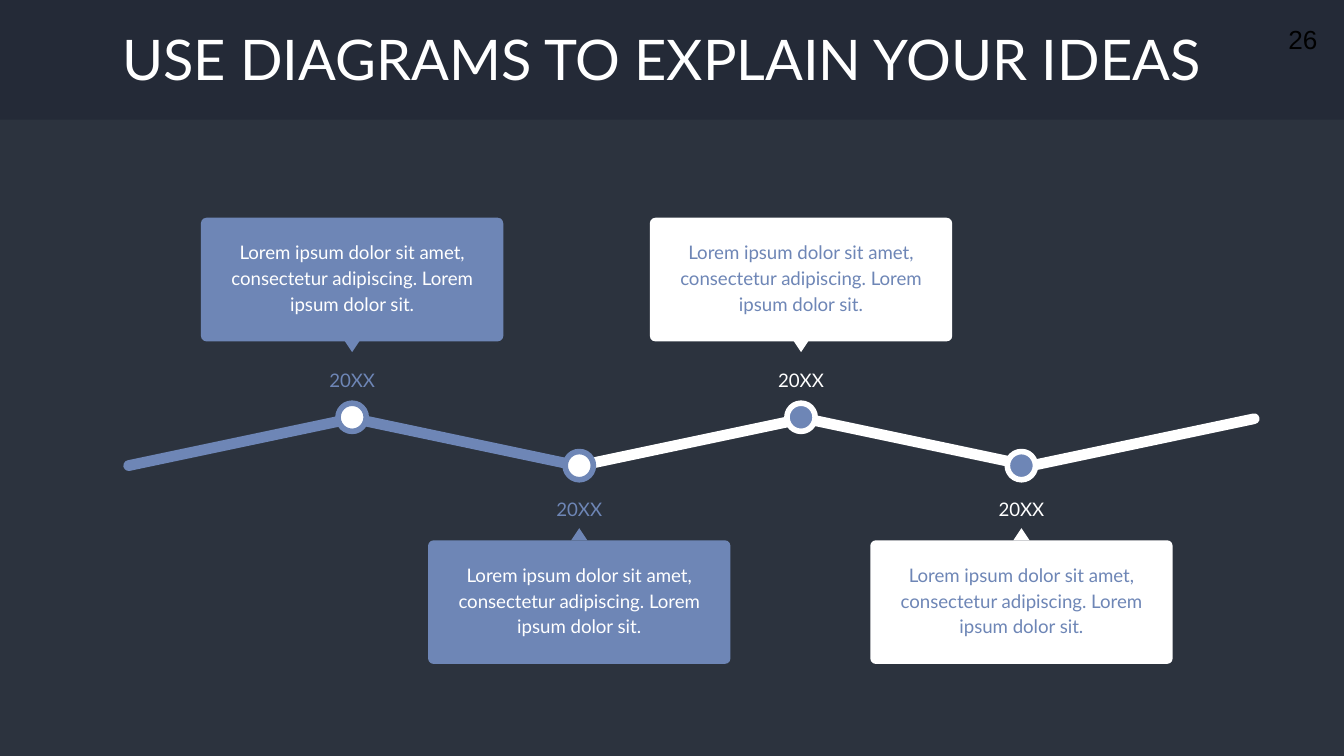
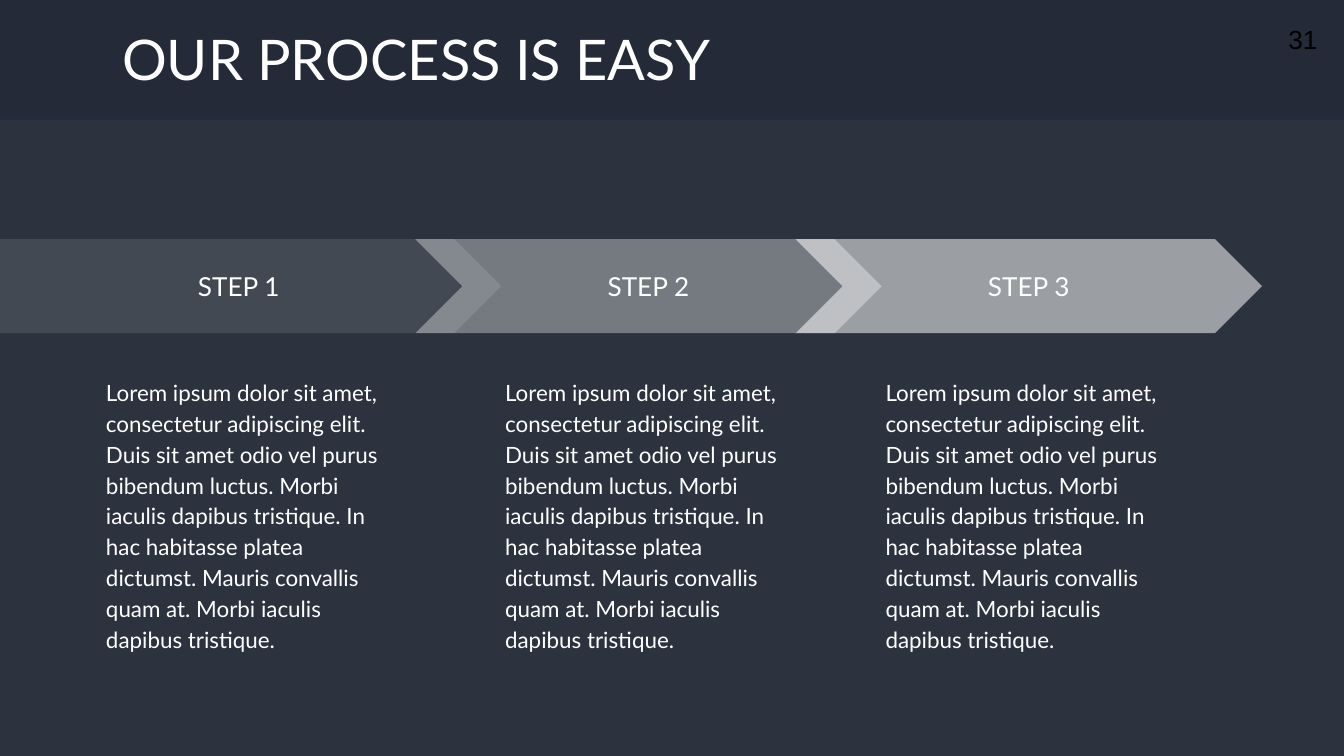
from pptx import Presentation
from pptx.dml.color import RGBColor
from pptx.enum.shapes import MSO_SHAPE as Kind
from pptx.enum.text import MSO_ANCHOR as Anchor, PP_ALIGN as Align
from pptx.oxml.ns import qn
from pptx.oxml.xmlchemy import OxmlElement
from pptx.util import Inches, Pt

WHITE = RGBColor(0xFF, 0xFF, 0xFF)
BLACK = RGBColor(0x00, 0x00, 0x00)
BLUE = RGBColor(0x6E, 0x86, 0xB6)
NAVY = RGBColor(0x00, 0x04, 0x1C)
SLATE = RGBColor(0x2C, 0x33, 0x3E)

CARD_TEXT = "Lorem ipsum dolor sit amet, consectetur adipiscing. Lorem ipsum dolor sit."
STEP_TEXT = (
    "Lorem ipsum dolor sit amet, consectetur adipiscing elit. Duis sit amet odio "
    "vel purus bibendum luctus. Morbi iaculis dapibus tristique. In hac habitasse "
    "platea dictumst. Mauris convallis quam at. Morbi iaculis dapibus tristique."
)


def add_block(shapes, kind, box, color, opacity=100, adjust=None, rotation=0):
    shape = shapes.add_shape(kind, *map(Inches, box))
    shape.shadow.inherit = False
    shape.fill.solid()
    shape.fill.fore_color.rgb = color
    shape.line.fill.background()
    shape.rotation = rotation
    if adjust is not None:
        shape.adjustments[0] = adjust
    if opacity < 100:
        alpha = OxmlElement("a:alpha")
        alpha.set("val", str(opacity * 1000))
        shape._element.spPr.find(".//" + qn("a:srgbClr")).append(alpha)
    return shape


def write(shape, text, size, color, align=Align.LEFT, anchor=Anchor.TOP,
          font="Lato", spacing=1.0):
    frame = shape.text_frame
    frame.text = text
    frame.word_wrap = True
    frame.vertical_anchor = anchor
    frame.margin_left = frame.margin_right = Inches(0.1)
    frame.margin_top = frame.margin_bottom = Inches(0.1)
    para = frame.paragraphs[0]
    para.alignment = align
    para.line_spacing = spacing
    span = para.runs[0]
    span.font.name = font
    span.font.size = Pt(size)
    span.font.color.rgb = color


def add_text(shapes, box, text, size, color, **style):
    write(shapes.add_textbox(*map(Inches, box)), text, size, color, **style)


def add_page(deck, title, number):
    page = deck.slides.add_slide(deck.slide_layouts[6])
    page.background.fill.solid()
    page.background.fill.fore_color.rgb = SLATE
    add_block(page.shapes, Kind.RECTANGLE, (0, -0.01, 10, 0.9), NAVY, opacity=18)
    add_text(page.shapes, (0.81, 0, 8.41, 0.78), title, 30, WHITE, anchor=Anchor.BOTTOM)
    add_text(page.shapes, (9.39, -0.01, 0.61, 0.6), number, 14, BLACK,
             align=Align.CENTER, anchor=Anchor.MIDDLE, font="Arial")
    return page


def add_milestone(page, center, above, main, accent):
    shapes = page.shapes.add_group_shape().shapes
    marker_top, label_top, card_top, tip_top = (
        (3, 2.62, 1.62, 2.53) if above else (3.36, 3.58, 4.02, 3.93))

    def centered(top, width, height):
        return center - width / 2, top, width, height

    marker = add_block(shapes, Kind.OVAL, centered(marker_top, 0.21, 0.21), accent)
    marker.line.color.rgb = main
    marker.line.width = Pt(3)
    add_block(shapes, Kind.ROUNDED_RECTANGLE, centered(card_top, 2.25, 0.92), main,
              adjust=0.045)
    add_block(shapes, Kind.ISOSCELES_TRIANGLE, centered(tip_top, 0.12, 0.09), main,
              rotation=180 if above else 0)
    for box, text, color in (
        (centered(label_top, 0.91, 0.36), "20XX", main),
        (centered(card_top + 0.05, 2.13, 0.82), CARD_TEXT, accent),
    ):
        add_text(shapes, box, text, 10, color, align=Align.CENTER, spacing=1.15)


def add_timeline(page, left, top):
    segment_colors = (BLUE, BLUE, WHITE, WHITE, WHITE)
    for index, color in reversed(list(enumerate(segment_colors))):
        add_block(page.shapes, Kind.ROUNDED_RECTANGLE,
                  (left + index * 1.68, top, 1.77, 0.08), color, adjust=0.5,
                  rotation=11.9 if index % 2 else -11.9)
    for index, offset in enumerate((1.72, 3.41, 5.06, 6.7)):
        main, accent = (BLUE, WHITE) if index < 2 else (WHITE, BLUE)
        add_milestone(page, left + offset, index % 2 == 0, main, accent)


def add_step(page, kind, box, label, opacity, text_left):
    left, top, width, height = box
    shapes = page.shapes.add_group_shape().shapes
    arrow = add_block(shapes, kind, box, WHITE, opacity=opacity, adjust=0.5)
    write(arrow, label, 14, WHITE, align=Align.CENTER, anchor=Anchor.MIDDLE)
    add_text(shapes, (left + text_left, top + 0.91, 2.35, 2.75), STEP_TEXT, 12, WHITE,
             spacing=1.15)


def add_process(page, top):
    steps = (
        (Kind.PENTAGON, 0, 3.73, 11, 0.69),
        (Kind.CHEVRON, 3.09, 3.47, 35, 0.57),
        (Kind.CHEVRON, 5.92, 3.47, 53, 0.57),
    )
    for number, (kind, left, width, opacity, text_left) in enumerate(steps, 1):
        add_step(page, kind, (left, top, width, 0.7), f"STEP {number}", opacity, text_left)


def main():
    deck = Presentation()
    deck.slide_width, deck.slide_height = Inches(10), Inches(5.625)
    add_timeline(add_page(deck, "USE DIAGRAMS TO EXPLAIN YOUR IDEAS", "26"), 0.9, 3.25)
    add_process(add_page(deck, "OUR PROCESS IS EASY", "31"), 1.78)
    deck.save("out.pptx")


if __name__ == "__main__":
    main()
